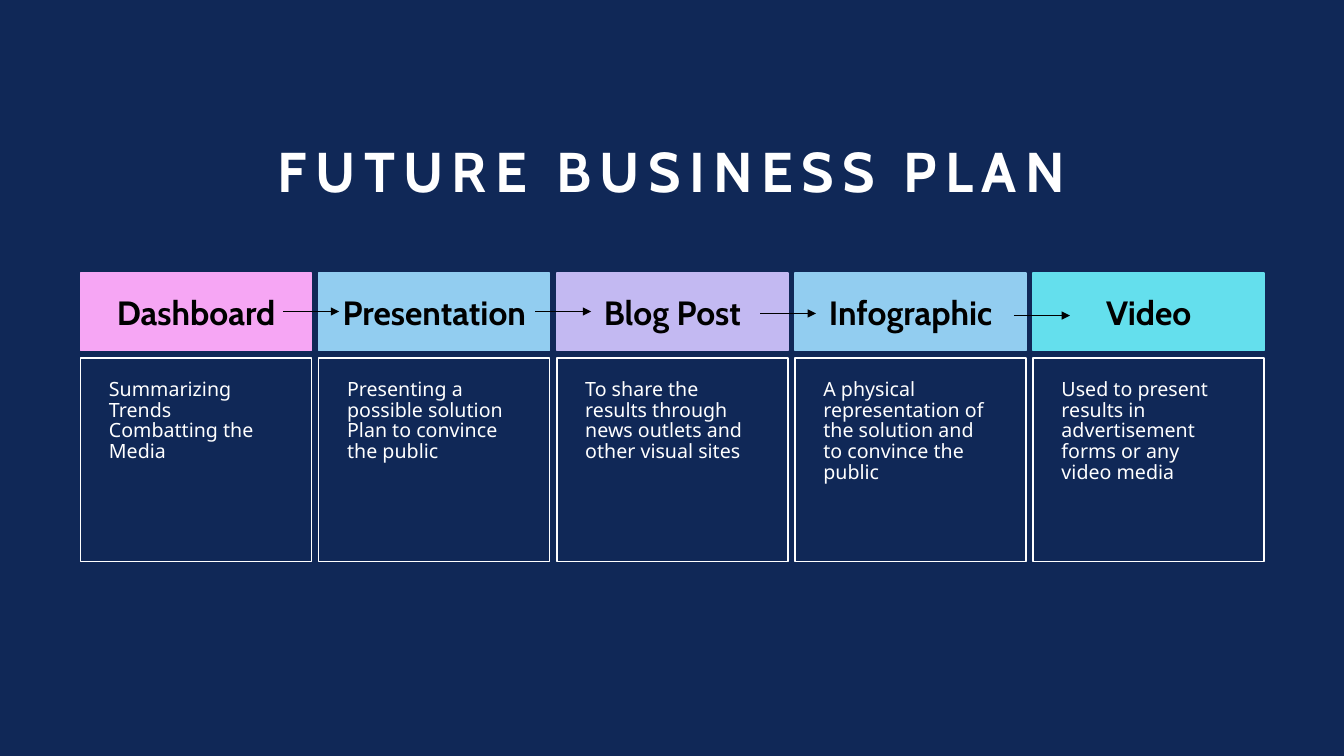
from pptx import Presentation
from pptx.dml.color import RGBColor
from pptx.enum.shapes import MSO_CONNECTOR, MSO_SHAPE
from pptx.enum.text import MSO_ANCHOR, MSO_AUTO_SIZE, PP_ALIGN
from pptx.oxml.ns import qn
from pptx.util import Pt
from lxml.etree import SubElement

NAVY = RGBColor(0x10, 0x28, 0x57)
WHITE = RGBColor(0xFF, 0xFF, 0xFF)
BLACK = RGBColor(0x00, 0x00, 0x00)
PINK = RGBColor(0xF6, 0xA6, 0xF4)
BLUE = RGBColor(0x92, 0xCD, 0xF0)
LILAC = RGBColor(0xC3, 0xB9, 0xF2)
CYAN = RGBColor(0x64, 0xDF, 0xED)

STAGES = [
    ("Dashboard", PINK, ["Summarizing Trends", "Combatting the Media"]),
    ("Presentation", BLUE, ["Presenting a possible solution", "Plan to convince the public"]),
    ("Blog Post", LILAC, ["To share the results through news outlets and other visual sites"]),
    ("Infographic", BLUE, ["A physical representation of the solution and to convince the public"]),
    ("Video", CYAN, ["Used to present results in advertisement forms or any video media"]),
]
ARROW_STARTS = [(144.7, 27.4), (324.7, 27.4), (485.3, 28.8), (666.7, 30.3)]
ARROW_LENGTH = 40
GAP = 5.1
HEADER_HEIGHT = 55.4


def write(frame, lines, font_name, size, color, align, bold=False, spacing=1.0):
    frame.word_wrap = True
    frame.text = "\n".join(lines)
    for paragraph in frame.paragraphs:
        paragraph.alignment = align
        paragraph.line_spacing = spacing
        font = paragraph.font
        font.name, font.size, font.bold = font_name, Pt(size), bold
        font.color.rgb = color


def add_title(slide, left, top, width, height):
    title = slide.shapes.title
    title.left, title.top, title.width, title.height = Pt(left), Pt(top), Pt(width), Pt(height)
    frame = title.text_frame
    frame.auto_size = MSO_AUTO_SIZE.NONE
    frame.vertical_anchor = MSO_ANCHOR.BOTTOM
    write(frame, ["FUTURE BUSINESS PLAN"], "Cabin", 40, WHITE, PP_ALIGN.CENTER, True, 0.9)
    frame.paragraphs[0].runs[0].font._element.set("spc", "600")


def add_box(slide, left, top, width, height, line_color, fill_color=None):
    box = slide.shapes.add_shape(MSO_SHAPE.RECTANGLE, Pt(left), Pt(top), Pt(width), Pt(height))
    box.shadow.inherit = False
    if fill_color is None:
        box.fill.background()
    else:
        box.fill.solid()
        box.fill.fore_color.rgb = fill_color
    box.line.color.rgb = line_color
    box.line.width = Pt(1)
    return box.text_frame


def add_stage(slide, left, top, width, height, name, color, details):
    header = add_box(slide, left, top, width, HEADER_HEIGHT, color, color)
    header.vertical_anchor = MSO_ANCHOR.MIDDLE
    write(header, [name], "Cabin", 24, BLACK, PP_ALIGN.CENTER, True)

    offset = HEADER_HEIGHT + GAP
    description = add_box(slide, left, top + offset, width, height - offset, WHITE)
    description.vertical_anchor = MSO_ANCHOR.TOP
    description.margin_left, description.margin_right = Pt(20.2), Pt(21.6)
    description.margin_top, description.margin_bottom = Pt(15.8), Pt(3.6)
    write(description, details, "Noto Sans", 14, WHITE, PP_ALIGN.LEFT, spacing=0.88)


def add_arrow(slide, left, top, length):
    arrow = slide.shapes.add_connector(
        MSO_CONNECTOR.STRAIGHT, Pt(left), Pt(top), Pt(left + length), Pt(top))
    arrow.line.color.rgb = BLACK
    arrow.line.width = Pt(0.5)
    SubElement(arrow.line._get_or_add_ln(), qn("a:tailEnd"), type="triangle")
    SubElement(arrow._element.spPr, qn("a:effectLst"))


def add_process(slide, left, top, width, height):
    stage_width = (width - GAP * (len(STAGES) - 1)) / len(STAGES)
    for index, (name, color, details) in enumerate(STAGES):
        stage_left = left + index * (stage_width + GAP)
        add_stage(slide, stage_left, top, stage_width, height, name, color, details)
    for across, down in ARROW_STARTS:
        add_arrow(slide, left + across, top + down, ARROW_LENGTH)


deck = Presentation()
deck.slide_width, deck.slide_height = Pt(960), Pt(540)
plan = deck.slides.add_slide(deck.slide_layouts[5])
plan.background.fill.solid()
plan.background.fill.fore_color.rgb = NAVY
add_title(plan, 130.3, 65.5, 699.1, 84.2)
add_process(plan, 57.6, 195.1, 845.4, 206)
deck.save("out.pptx")
